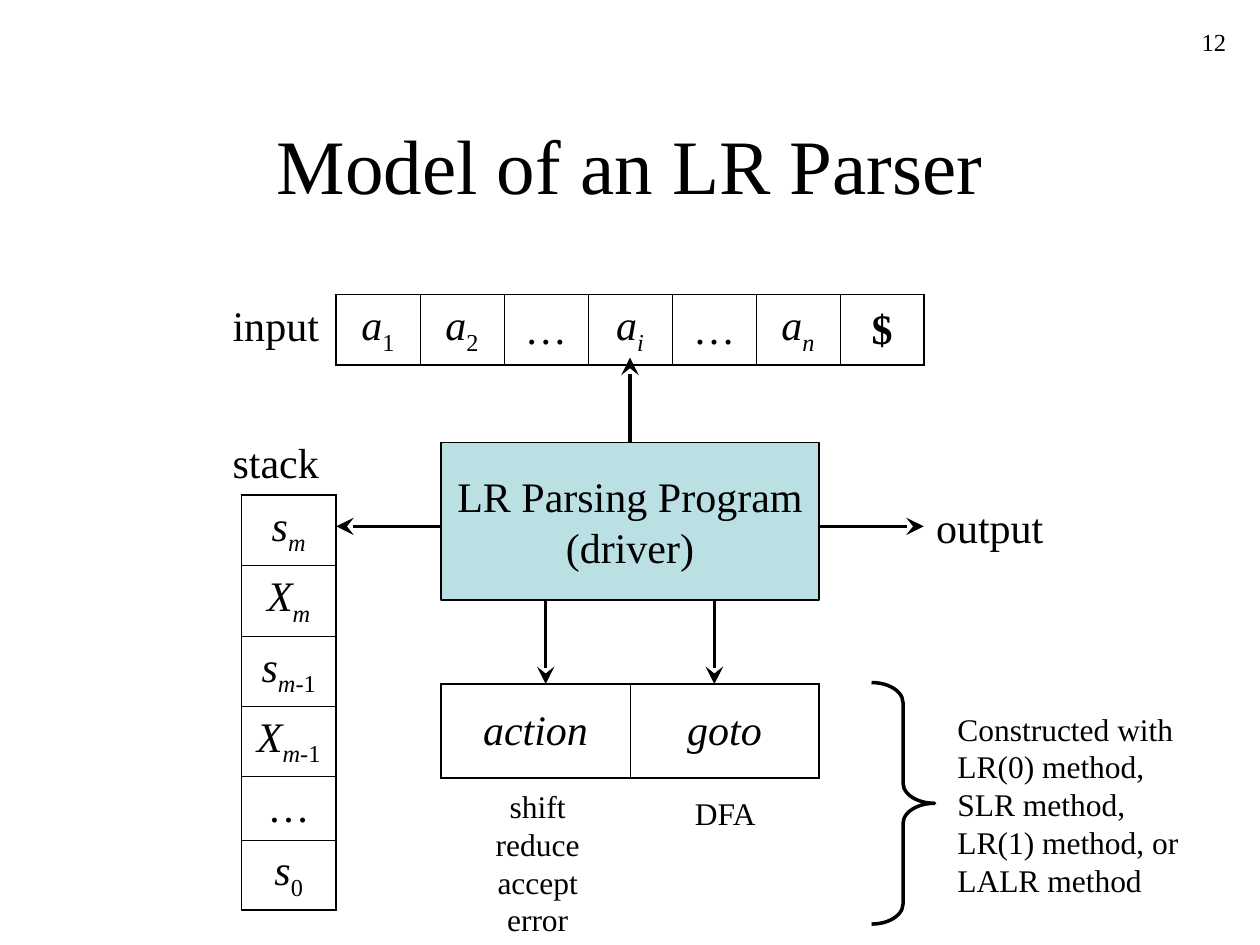
"""Build a slide that shows the model of an LR parser."""
from lxml import etree
from pptx import Presentation
from pptx import util as u
from pptx.dml.color import RGBColor
from pptx.enum import shapes, text
from pptx.oxml.ns import qn

BLACK = RGBColor(0x00, 0x00, 0x00)
PALE_TEAL = RGBColor(0xBB, 0xE0, 0xE3)
FONT = "Times New Roman"
LEFT, CENTER, RIGHT = text.PP_ALIGN.LEFT, text.PP_ALIGN.CENTER, text.PP_ALIGN.RIGHT
OUTER, INNER = 1.08, 0.45

A, S, X = ("a", "i"), ("s", "i"), ("X", "i")
SUB_M, MINUS_ONE = ("m", "is"), ("-1", "s")
DOTS = [("…", "")]
INPUT = [[A, ("1", "s")], [A, ("2", "s")], DOTS, [A, ("i", "is")], DOTS,
         [A, ("n", "is")], [("$", "b")]]
STACK = [[S, SUB_M], [X, SUB_M], [S, SUB_M, MINUS_ONE], [X, SUB_M, MINUS_ONE],
         DOTS, [S, ("0", "s")]]
TABLES = [[("action", "i")], [("goto", "i")]]
METHODS = ["Constructed with", "LR(0) method,", "SLR method,",
           "LR(1) method, or", "LALR method"]


def cm(*lengths):
    """Turn numbers into centimetre lengths."""
    return [u.Cm(length) for length in lengths]


def add_run(paragraph, words, size, style=""):
    """Add a run; style letters are i (italic), b (bold) and s (subscript)."""
    run = paragraph.add_run()
    run.text = words
    run.font.name, run.font.size = FONT, u.Pt(size)
    run.font.color.rgb = BLACK
    run.font.italic, run.font.bold = "i" in style, "b" in style
    if "s" in style:
        run._r.get_or_add_rPr().set("baseline", "-25000")


def write(frame, paragraphs, size, align=LEFT):
    """Fill a text frame, with a line break at each newline."""
    for index, content in enumerate(paragraphs):
        paragraph = frame.add_paragraph() if index else frame.paragraphs[0]
        paragraph.alignment = align
        for number, line in enumerate(content.split("\n")):
            if number:
                paragraph.add_line_break()
            add_run(paragraph, line, size)


def add_label(slide, box, paragraphs, size, align=LEFT, wrap=False):
    """Add a text box."""
    frame = slide.shapes.add_textbox(*cm(*box)).text_frame
    frame.word_wrap = wrap
    if not wrap:
        frame.auto_size = text.MSO_AUTO_SIZE.SHAPE_TO_FIT_TEXT
    write(frame, paragraphs, size, align)


def set_borders(cell, widths):
    """Draw the left, right, top and bottom borders of a cell."""
    properties = cell._tc.get_or_add_tcPr()
    for index, (side, points) in enumerate(zip("LRTB", widths)):
        border = etree.Element(qn(f"a:ln{side}"), w=str(u.Pt(points)))
        fill = etree.SubElement(border, qn("a:solidFill"))
        etree.SubElement(fill, qn("a:srgbClr"), val=str(BLACK))
        properties.insert(index, border)


def add_grid(slide, left, top, widths, heights, contents):
    """Add a table with a heavier outer frame, filled row by row."""
    rows, columns = len(heights), len(widths)
    table = slide.shapes.add_table(
        rows, columns, *cm(left, top, sum(widths), sum(heights))).table
    table.first_row = table.horz_banding = False
    for column, width in zip(table.columns, widths):
        column.width = u.Cm(width)
    for row, height in zip(table.rows, heights):
        row.height = u.Cm(height)
    for index, runs in enumerate(contents):
        r, c = divmod(index, columns)
        cell = table.cell(r, c)
        cell.fill.background()
        cell.vertical_anchor = text.MSO_ANCHOR.MIDDLE
        edges = (c == 0, c == columns - 1, r == 0, r == rows - 1)
        set_borders(cell, [OUTER if edge else INNER for edge in edges])
        paragraph = cell.text_frame.paragraphs[0]
        paragraph.alignment = CENTER
        for words, style in runs:
            add_run(paragraph, words, 24, style)


def add_driver(slide):
    """Add the box of the parsing program."""
    driver = slide.shapes.add_shape(
        shapes.MSO_SHAPE.RECTANGLE, *cm(8.89, 8.92, 7.62, 3.18))
    driver.shadow.inherit = False
    driver.fill.solid()
    driver.fill.fore_color.rgb = PALE_TEAL
    driver.line.color.rgb, driver.line.width = BLACK, u.Pt(0.75)
    driver.text_frame.word_wrap = False
    driver.text_frame.vertical_anchor = text.MSO_ANCHOR.MIDDLE
    write(driver.text_frame, ["LR Parsing Program\n(driver)"], 24, CENTER)
    return driver


def add_arrow(slide, *ends):
    """Add an arrow between two points."""
    arrow = slide.shapes.add_connector(shapes.MSO_CONNECTOR.STRAIGHT, *cm(*ends))
    arrow.line.color.rgb, arrow.line.width = BLACK, u.Pt(2)
    etree.SubElement(arrow.line._get_or_add_ln(), qn("a:tailEnd"),
                     type="stealth", w="lg", len="lg")
    etree.SubElement(arrow._element.spPr, qn("a:effectLst"))
    return arrow


def add_brace(slide):
    """Add the brace beside the parsing tables."""
    brace = slide.shapes.add_shape(
        shapes.MSO_SHAPE.RIGHT_BRACE, *cm(17.57, 13.76, 1.27, 4.87))
    brace.adjustments[0] = 0.32
    brace.shadow.inherit = False
    brace.fill.background()
    brace.line.color.rgb, brace.line.width = BLACK, u.Pt(2)


def add_title(slide, words):
    """Place and fill the title."""
    title = slide.shapes.title
    title.left, title.top, title.width, title.height = cm(1.9, 1.7, 21.6, 3.18)
    title.text_frame.vertical_anchor = text.MSO_ANCHOR.MIDDLE
    write(title.text_frame, [words], 44, CENTER)


def main():
    """Build and save the slide."""
    deck = Presentation()
    deck.slide_width, deck.slide_height = cm(25.4, 19.05)
    slide = deck.slides.add_slide(deck.slide_layouts[5])
    add_title(slide, "Model of an LR Parser")
    add_label(slide, (19.69, 0.43, 5.28, 1.27), ["12"], 14, RIGHT, wrap=True)

    add_grid(slide, 6.77, 5.94, [11.86 / 7] * 7, [1.42], INPUT)
    driver = add_driver(slide)
    add_grid(slide, 8.89, 13.79, [3.81] * 2, [1.9], TABLES)
    add_grid(slide, 4.87, 9.98, [1.9], [1.42] * 4 + [1.27, 1.42], STACK)

    add_arrow(slide, 12.7, 8.92, 12.7, 7.21).begin_connect(driver, 0)
    for x in (11, 14.4):
        add_arrow(slide, x, 12.1, x, 13.79)
    for start, end in ((16.51, 18.62), (8.89, 6.78)):
        add_arrow(slide, start, 10.61, end, 10.61)

    add_label(slide, (18.62, 9.98, 2.67, 1.27), ["output"], 24)
    add_label(slide, (4.44, 8.68, 2.24, 1.27), ["stack"], 24)
    add_label(slide, (4.44, 5.92, 2.24, 1.27), ["input"], 24)
    add_label(slide, (13.76, 15.88, 1.78, 1.02), ["DFA"], 18)
    add_label(slide, (9.54, 15.74, 2.6, 3.3),
              ["shift\nreduce\naccept\nerror"], 18, CENTER, wrap=True)
    add_brace(slide)
    add_label(slide, (19.05, 14.18, 5.4, 4.06), METHODS, 18, wrap=True)
    deck.save("out.pptx")


if __name__ == "__main__":
    main()
